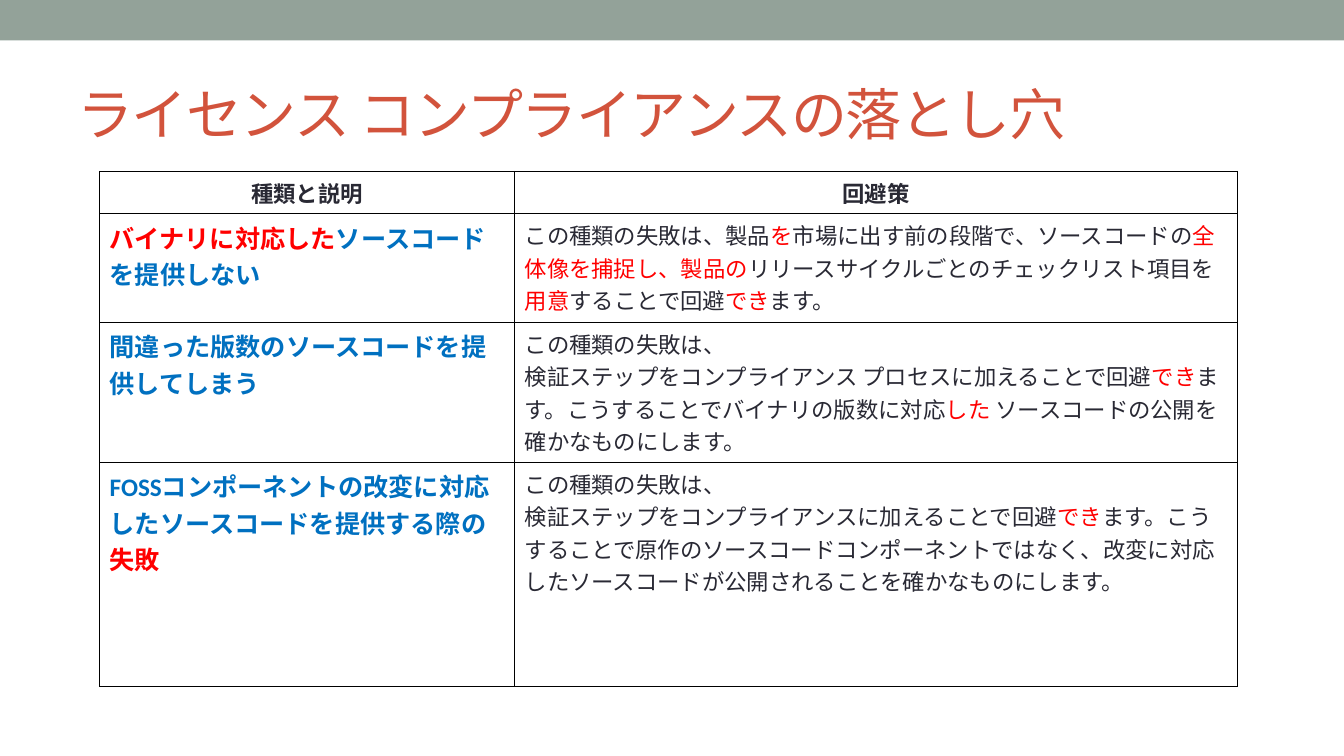
from lxml.etree import SubElement
from pptx import Presentation
from pptx.dml.color import RGBColor
from pptx.enum.shapes import MSO_SHAPE
from pptx.enum.text import MSO_ANCHOR, PP_ALIGN
from pptx.oxml.ns import qn
from pptx.util import Cm, Pt

COLORS = {
    "band": "93A299",
    "title": "D2533C",
    "text": "292934",
    "topic": "0070C0",
    "accent": "FF0000",
    "border": "000000",
}
FONT = "Calibri"

# Text between bars takes the accent colour.
ROWS = [
    (["種類と説明"], ["回避策"]),
    (
        ["|バイナリに対応した|ソースコードを提供しない"],
        ["この種類の失敗は、製品|を|市場に出す前の段階で、ソースコードの|全体像を捕捉し、製品の|"
         "リリースサイクルごとのチェックリスト項目を|用意|することで回避|でき|ます。"],
    ),
    (
        ["間違った版数のソースコードを提供してしまう"],
        ["この種類の失敗は、",
         "検証ステップをコンプライアンス プロセスに加えることで回避|でき|ます。"
         "こうすることでバイナリの版数に対応|した| ソースコードの公開を確かなものにします。"],
    ),
    (
        ["FOSSコンポーネントの改変に対応したソースコードを提供する際の|失敗|"],
        ["この種類の失敗は、",
         "検証ステップをコンプライアンスに加えることで回避|でき|ます。"
         "こうすることで原作のソースコードコンポーネントではなく、"
         "改変に対応したソースコードが公開されることを確かなものにします。"],
    ),
]
COL_WIDTHS = [10.46, 18.21]
ROW_HEIGHTS = [0.94, 2.74, 3.53, 5.64]


def style_run(r, size, color, bold=False):
    r.font.name = FONT
    r.font.size = Pt(size)
    r.font.bold = bold
    r.font.color.rgb = RGBColor.from_string(COLORS[color])


def add_borders(cell):
    tcPr = cell._tc.get_or_add_tcPr()
    for side in ("a:lnL", "a:lnR", "a:lnT", "a:lnB"):
        ln = SubElement(tcPr, qn(side), w=str(Pt(1)))
        fill = SubElement(ln, qn("a:solidFill"))
        SubElement(fill, qn("a:srgbClr"), val=COLORS["border"])


prs = Presentation()
prs.slide_width = Cm(33.87)
prs.slide_height = Cm(19.05)
s = prs.slides.add_slide(prs.slide_layouts[5])

band = s.shapes.add_shape(MSO_SHAPE.RECTANGLE, 0, 0, prs.slide_width, Cm(1.02))
band.shadow.inherit = False
band.fill.solid()
band.fill.fore_color.rgb = RGBColor.from_string(COLORS["band"])
band.line.fill.background()

title = s.shapes.title
title.left, title.top, title.width, title.height = Cm(1.69), Cm(1.47), Cm(30.48), Cm(2.74)
tf = title.text_frame
tf.text = "ライセンス コンプライアンスの落とし穴"
tf.vertical_anchor = MSO_ANCHOR.MIDDLE
p = tf.paragraphs[0]
p.alignment = PP_ALIGN.LEFT
style_run(p.runs[0], 40, "title")
p.runs[0].font._element.set("spc", "-100")

table = s.shapes.add_table(
    len(ROWS), len(COL_WIDTHS), Cm(2.51), Cm(4.32), Cm(sum(COL_WIDTHS)), Cm(sum(ROW_HEIGHTS))
).table
table.first_row = False
table.horz_banding = False
for col, width in zip(table.columns, COL_WIDTHS):
    col.width = Cm(width)

for i, row in enumerate(ROWS):
    table.rows[i].height = Cm(ROW_HEIGHTS[i])
    for j, paragraphs in enumerate(row):
        cell = table.cell(i, j)
        add_borders(cell)
        cell.fill.background()
        is_header = i == 0
        is_topic = j == 0 and not is_header
        size = 18 if is_topic else 16
        base = "topic" if is_topic else "text"
        tf = cell.text_frame
        for n, text in enumerate(paragraphs):
            p = tf.add_paragraph() if n else tf.paragraphs[0]
            p.alignment = PP_ALIGN.CENTER if is_header else PP_ALIGN.LEFT
            for k, part in enumerate(text.split("|")):
                if part:
                    r = p.add_run()
                    r.text = part
                    style_run(r, size, "accent" if k % 2 else base, is_header or is_topic)

prs.save("out.pptx")
